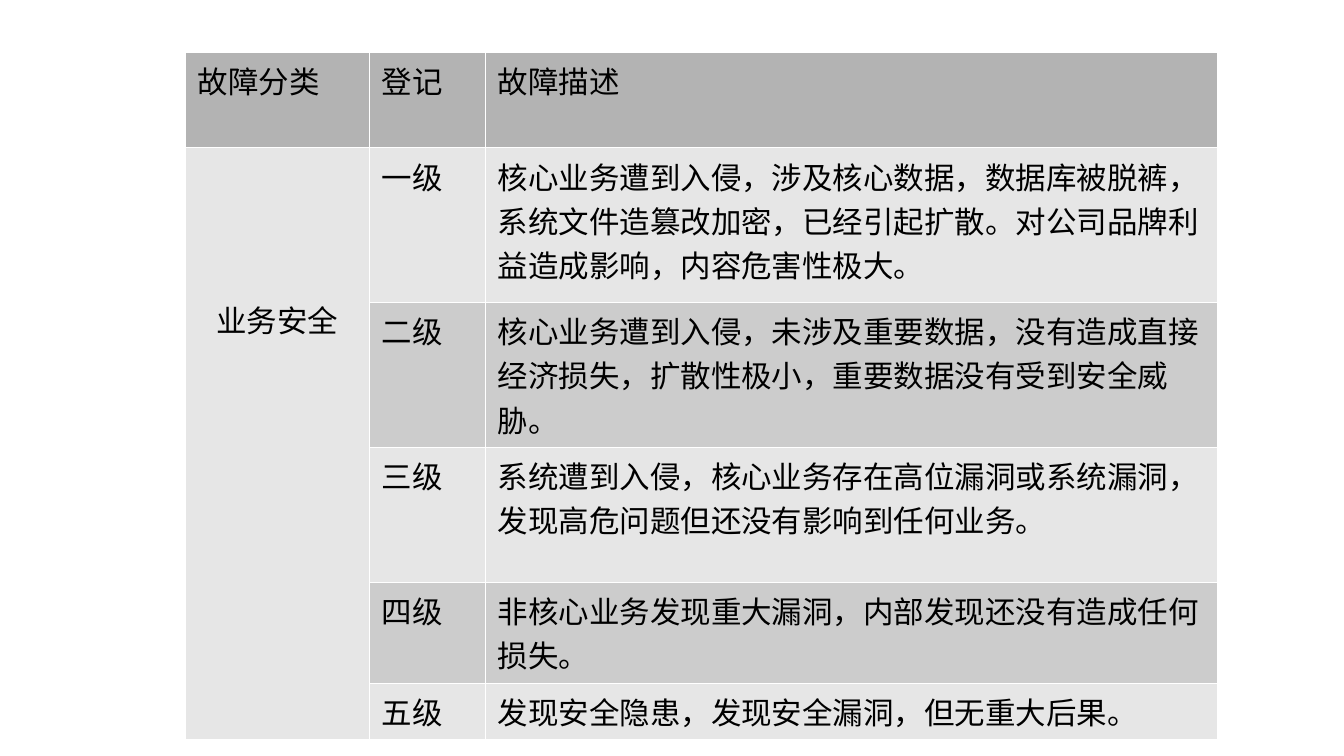
from lxml.etree import SubElement as Sub
from pptx import Presentation
from pptx.dml.color import RGBColor
from pptx.enum.text import PP_ALIGN as Align
from pptx.oxml.ns import qn
from pptx.util import Inches, Pt

FONT = "Noto Sans CJK SC"
BLACK = RGBColor(0x00, 0x00, 0x00)
HEAD = RGBColor(0xB3, 0xB3, 0xB3)
LIGHT = RGBColor(0xE6, 0xE6, 0xE6)
DARK = RGBColor(0xCC, 0xCC, 0xCC)
WHITE = RGBColor(0xFF, 0xFF, 0xFF)

COLS = [1.51, 0.95, 6]
ROWS = [0.78, 1.27, 0.83, 1.11, 0.78, 0.24]
TEXTS = [
    ("故障分类", "登记", "故障描述"),
    ("业务安全", "一级", "核心业务遭到入侵，涉及核心数据，数据库被脱裤，系统文件造篡改加密，已经引起扩散。对公司品牌利益造成影响，内容危害性极大。"),
    ("", "二级", "核心业务遭到入侵，未涉及重要数据，没有造成直接经济损失，扩散性极小，重要数据没有受到安全威胁。"),
    ("", "三级", "系统遭到入侵，核心业务存在高位漏洞或系统漏洞，发现高危问题但还没有影响到任何业务。"),
    ("", "四级", "非核心业务发现重大漏洞，内部发现还没有造成任何损失。"),
    ("", "五级", "发现安全隐患，发现安全漏洞，但无重大后果。"),
]


def add_edges(cell):
    """Draw thin white lines on the four sides of a cell."""
    props = cell._tc.get_or_add_tcPr()
    for spot, side in enumerate(("lnL", "lnR", "lnT", "lnB")):
        line = props.makeelement(qn(f"a:{side}"), {"w": str(Pt(0.06))})
        props.insert(spot, line)
        fill = Sub(line, qn("a:solidFill"))
        Sub(fill, qn("a:srgbClr"), val=str(WHITE))


def fill_cell(cell, text, shade):
    """Write the text of a cell and set its font, fill and edges."""
    cell.fill.solid()
    cell.fill.fore_color.rgb = shade
    add_edges(cell)
    if not text:
        return
    cell.text = text
    para = cell.text_frame.paragraphs[0]
    font = para.font
    font.size = Pt(18)
    font.bold = False
    font.color.rgb = BLACK
    font.name = FONT
    props = para._p.pPr
    props.set("hangingPunct", "0")
    Sub(props.find(qn("a:defRPr")), qn("a:ea"), typeface=FONT)


def add_grades(slide, left, top, width, height):
    """Place the table of fault grades in the given box."""
    frame = slide.shapes.add_table(
        len(ROWS), len(COLS), Inches(left), Inches(top), Inches(width), Inches(height))
    table = frame.table
    table.first_row = table.horz_banding = False
    for col, size in zip(table.columns, COLS):
        col.width = Inches(size * width / sum(COLS))
    for num, (row, size, texts) in enumerate(zip(table.rows, ROWS, TEXTS)):
        row.height = Inches(size * height / sum(ROWS))
        shade = (DARK if num % 2 == 0 else LIGHT) if num else HEAD
        for col, (cell, text) in enumerate(zip(row.cells, texts)):
            fill_cell(cell, text, LIGHT if num and not col else shade)
    group = table.cell(1, 0)
    group.merge(table.cell(len(ROWS) - 1, 0))
    group.margin_top = Inches(1.23)
    group.text_frame.paragraphs[0].alignment = Align.CENTER


def main():
    """Build the slide and save it."""
    deck = Presentation()
    deck.slide_width, deck.slide_height = Inches(11.02), Inches(6.2)
    slide = deck.slides.add_slide(deck.slide_layouts[6])
    add_grades(slide, 1.52, 0.43, sum(COLS), sum(ROWS))
    deck.save("out.pptx")


if __name__ == "__main__":
    main()
